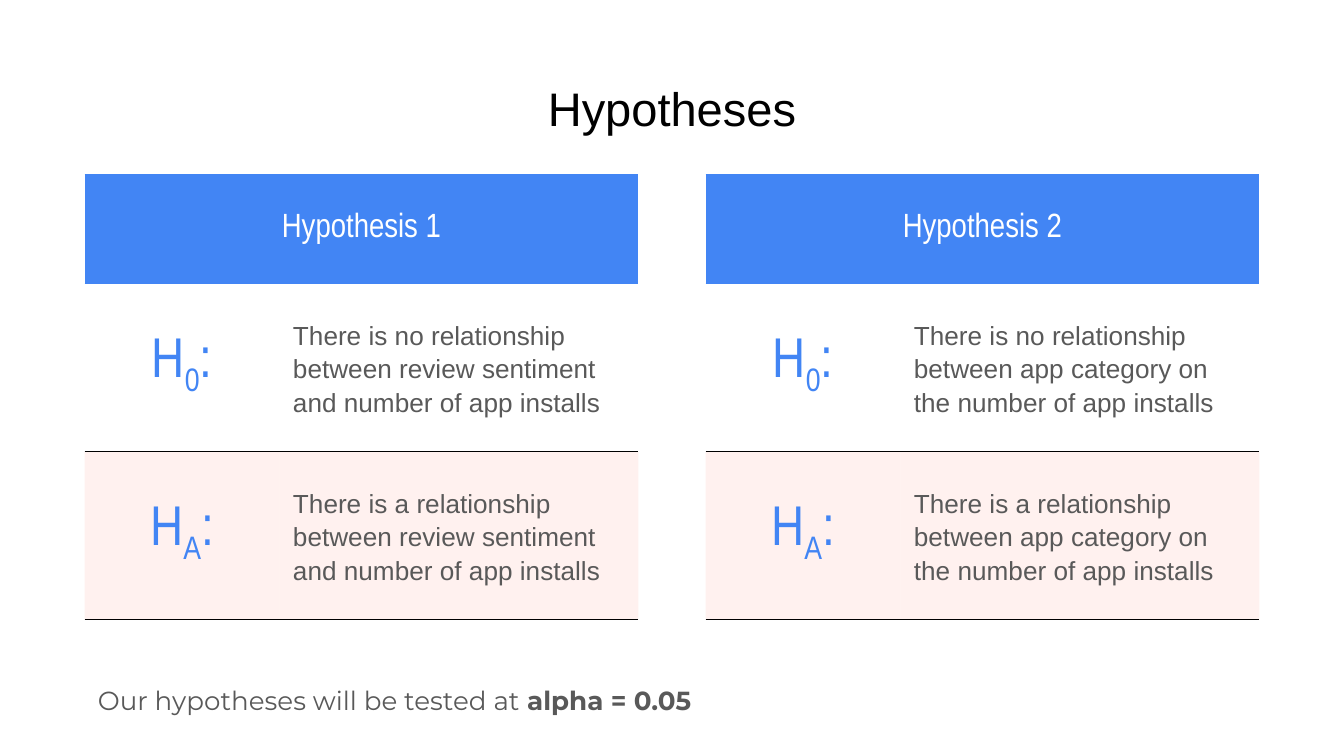
from dataclasses import dataclass
from typing import Optional

from lxml import etree
from pptx import Presentation
from pptx import util as u
from pptx.dml.color import RGBColor
from pptx.enum import text
from pptx.oxml.ns import qn

COLORS = {"black": "000000", "white": "FFFFFF", "blue": "4285F4",
          "grey": "595959", "pink": "FFD6CF"}
SLIDE_WIDTH = 10
SLIDE_HEIGHT = SLIDE_WIDTH * 9 / 16
MARGIN = u.Inches(0.1)
COLUMN_WIDTHS = (1.45, 1.45, 1.22)
ROW_HEIGHTS = (0.81, 1.25, 1.25)
TABLE_TOP = 1.3
BODY = {"size": 14, "name": "Arial", "color": "grey"}
SYMBOL = {"size": 30, "name": "Arial Narrow", "color": "blue"}
HEADER = {"size": 18, "name": "Arial Narrow", "color": "white"}


@dataclass
class Hypothesis:
    left: float
    heading: str
    subject: str


@dataclass
class RowStyle:
    top: str
    bottom: str
    fill: Optional[str] = None
    opacity: int = 100


ROW_STYLES = (RowStyle("blue", "blue", "blue"),
              RowStyle("blue", "black"),
              RowStyle("black", "black", "pink", 32))
HYPOTHESES = (
    Hypothesis(0.63, "Hypothesis 1", "between review sentiment and number of app installs"),
    Hypothesis(5.25, "Hypothesis 2", "between app category on the number of app installs"),
)


def add_run(paragraph, words: str, style: dict, bold=False, baseline=0) -> None:
    run = paragraph.add_run()
    run.text = words
    values = {"size": u.Pt(style["size"]), "name": style["name"], "bold": bold}
    for attribute, value in values.items():
        setattr(run.font, attribute, value)
    run.font.color.rgb = RGBColor.from_string(COLORS[style["color"]])
    if baseline:
        run.font._element.set("baseline", str(baseline * 1000))


def set_margins(holder) -> None:
    for side in ("left", "right", "top", "bottom"):
        setattr(holder, f"margin_{side}", MARGIN)


def format_body(paragraph) -> None:
    paragraph.line_spacing = 1.15
    paragraph.space_after = u.Pt(12)


def style_cell(cell, style: RowStyle) -> None:
    set_margins(cell)
    cell.vertical_anchor = text.MSO_ANCHOR.MIDDLE
    if style.fill:
        cell.fill.solid()
        cell.fill.fore_color.rgb = RGBColor.from_string(COLORS[style.fill])
    else:
        cell.fill.background()
    properties = cell._tc.get_or_add_tcPr()
    if style.opacity < 100:
        color = properties.find(".//" + qn("a:srgbClr"))
        etree.SubElement(color, qn("a:alpha"), val=str(style.opacity * 1000))
    borders = {"lnL": None, "lnR": None, "lnT": style.top, "lnB": style.bottom}
    for index, (tag, color_name) in enumerate(borders.items()):
        line = etree.Element(qn(f"a:{tag}"), w=str(u.Pt(0.75)))
        if color_name:
            fill = etree.SubElement(line, qn("a:solidFill"))
            etree.SubElement(fill, qn("a:srgbClr"), val=COLORS[color_name])
        else:
            etree.SubElement(line, qn("a:noFill"))
        properties.insert(index, line)


def add_hypothesis_table(slide, hypothesis: Hypothesis) -> None:
    table = slide.shapes.add_table(
        len(ROW_HEIGHTS), len(COLUMN_WIDTHS), u.Inches(hypothesis.left), u.Inches(TABLE_TOP),
        u.Inches(sum(COLUMN_WIDTHS)), u.Inches(sum(ROW_HEIGHTS))).table
    table.first_row = table.horz_banding = False
    for column, width in zip(table.columns, COLUMN_WIDTHS):
        column.width = u.Inches(width)
    for row, height, style in zip(table.rows, ROW_HEIGHTS, ROW_STYLES):
        row.height = u.Inches(height)
        for cell in row.cells:
            style_cell(cell, style)

    table.cell(0, 0).merge(table.cell(0, 2))
    heading = table.cell(0, 0).text_frame.paragraphs[0]
    heading.alignment = text.PP_ALIGN.CENTER
    add_run(heading, hypothesis.heading, HEADER)
    for row, (subscript, claim) in enumerate((("0", "no"), ("A", "a")), start=1):
        symbol = table.cell(row, 0).text_frame.paragraphs[0]
        symbol.alignment = text.PP_ALIGN.CENTER
        add_run(symbol, "H", SYMBOL)
        add_run(symbol, subscript, SYMBOL, baseline=-25)
        add_run(symbol, ":", SYMBOL)
        table.cell(row, 1).merge(table.cell(row, 2))
        statement = table.cell(row, 1).text_frame.paragraphs[0]
        format_body(statement)
        add_run(statement, f"There is {claim} relationship {hypothesis.subject}", BODY)


def add_title(slide, words: str) -> None:
    title = slide.shapes.title
    title.left, title.top, title.width, title.height = map(u.Inches, (0.34, 0.49, 9.32, 0.63))
    frame = title.text_frame
    set_margins(frame)
    frame.vertical_anchor = text.MSO_ANCHOR.MIDDLE
    frame.auto_size = text.MSO_AUTO_SIZE.NONE
    frame.paragraphs[0].alignment = text.PP_ALIGN.CENTER
    add_run(frame.paragraphs[0], words, {"size": 25.2, "name": "Arial", "color": "black"})


def add_significance_note(slide) -> None:
    frame = slide.shapes.add_textbox(*map(u.Inches, (0.63, 4.96, 4.83, 0.44))).text_frame
    set_margins(frame)
    frame.word_wrap = True
    frame.auto_size = text.MSO_AUTO_SIZE.SHAPE_TO_FIT_TEXT
    paragraph = frame.paragraphs[0]
    format_body(paragraph)
    style = {**BODY, "name": "Montserrat"}
    add_run(paragraph, "Our hypotheses will be tested at ", style)
    add_run(paragraph, "alpha = 0.05", style, bold=True)


def main() -> None:
    presentation = Presentation()
    presentation.slide_width = u.Inches(SLIDE_WIDTH)
    presentation.slide_height = u.Inches(SLIDE_HEIGHT)
    slide = presentation.slides.add_slide(presentation.slide_layouts[5])
    add_title(slide, "Hypotheses")
    for hypothesis in HYPOTHESES:
        add_hypothesis_table(slide, hypothesis)
    add_significance_note(slide)
    presentation.save("out.pptx")


if __name__ == "__main__":
    main()
